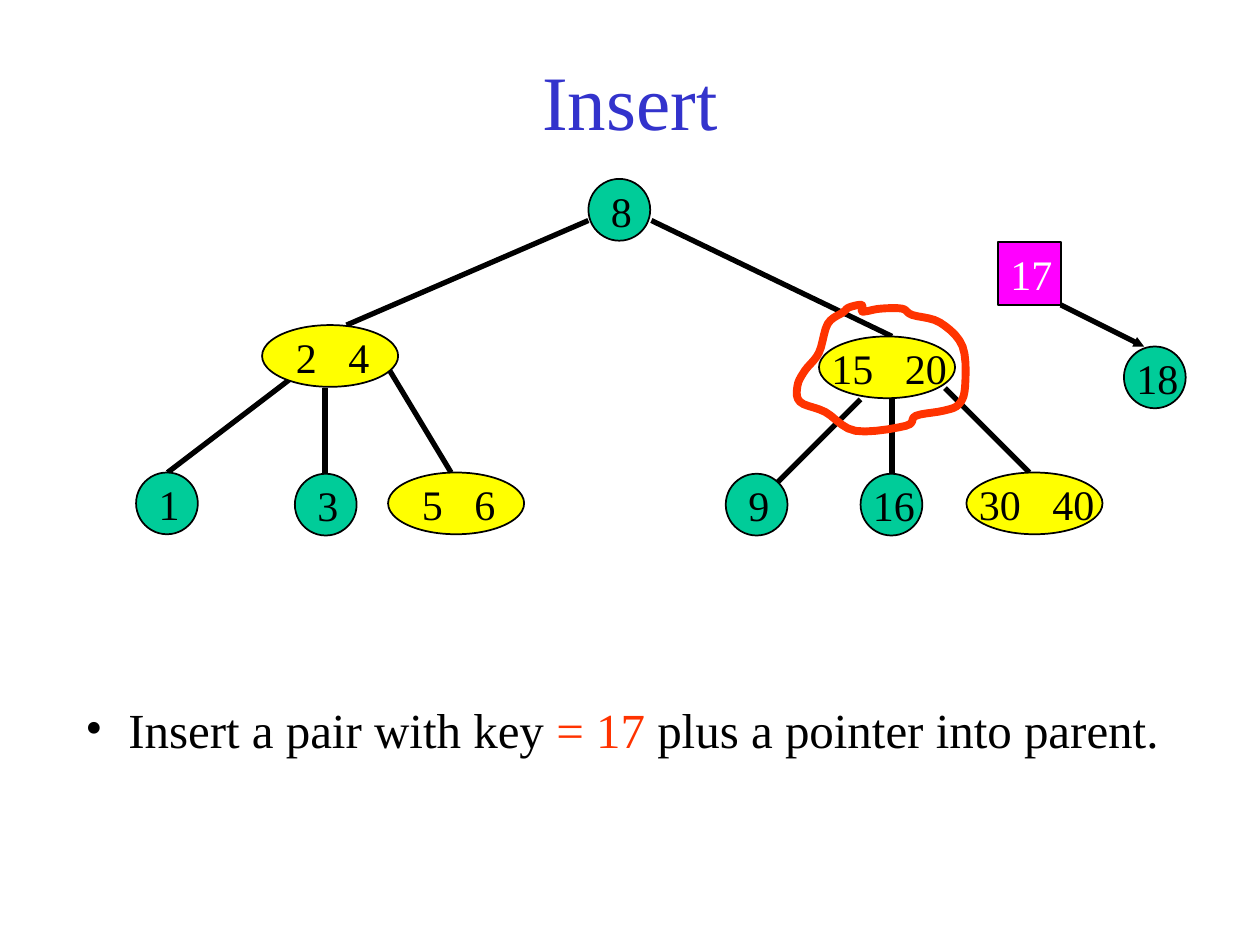
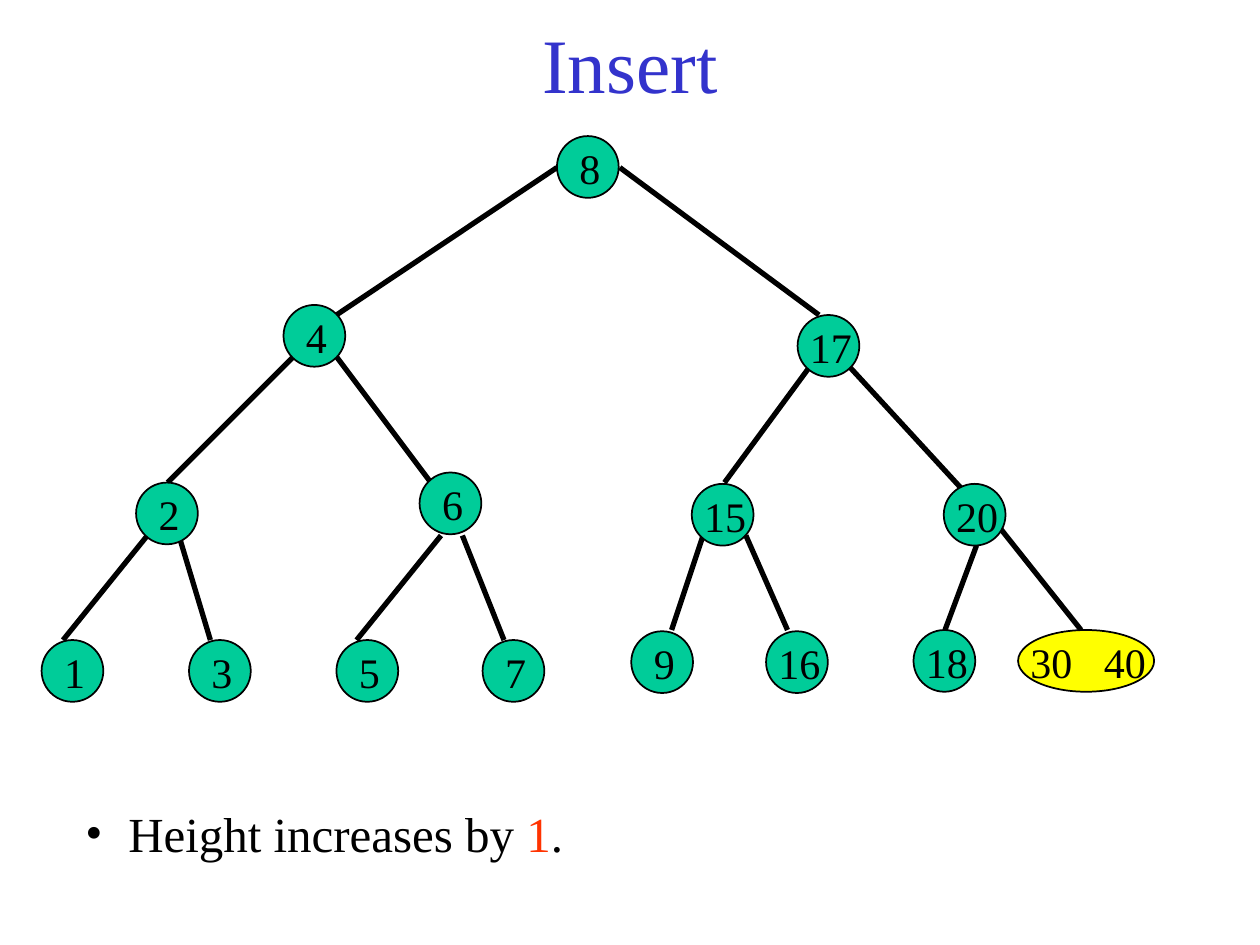
"""Build two slides on inserting a key into a 2-3 tree."""
from lxml import etree
from pptx import Presentation
from pptx.dml.color import RGBColor
from pptx.enum.shapes import MSO_CONNECTOR, MSO_SHAPE
from pptx.enum.text import MSO_ANCHOR, MSO_AUTO_SIZE, PP_ALIGN
from pptx.oxml.ns import qn
from pptx.util import Inches, Pt

LINE = MSO_CONNECTOR.STRAIGHT
OVAL, RECT = MSO_SHAPE.OVAL, MSO_SHAPE.RECTANGLE
MID, TOP = MSO_ANCHOR.MIDDLE, MSO_ANCHOR.TOP
MIDDLE = PP_ALIGN.CENTER
GROW = MSO_AUTO_SIZE.SHAPE_TO_FIT_TEXT

FACE = "Times New Roman"
BLACK, WHITE, BLUE, RED = "000000", "FFFFFF", "3333CC", "FF3300"
GREEN, YELLOW, PINK = "00CC99", "FFFF00", "FF00FF"
SIDE, WIDE = 0.49, 1.08

SLIDES = [
    {
        "title": ("Insert", 0.17, 1.25),
        "note": (5.5, [("Insert a pair with key ", BLACK), ("= 17 ", RED),
                       ("plus a pointer into parent.", BLACK)]),
        "nodes": [
            ("8", 4.67, 1.42), ("2 4", 2.08, 2.58), ("15 20", 6.5, 2.67),
            ("1", 1.08, 3.75), ("3", 2.34, 3.76), ("5 6", 3.08, 3.75),
            ("9", 5.76, 3.76), ("16", 6.83, 3.76), ("30 40", 7.67, 3.75),
            ("18", 8.92, 2.75),
        ],
        "edges": [
            (4.67, 1.75, 2.75, 2.58), (5.17, 1.75, 7.08, 2.67),
            (2.42, 2.92, 1.33, 3.75), (2.58, 3.08, 2.58, 3.75),
            (3.08, 2.92, 3.58, 3.75), (6.83, 3.17, 6.17, 3.83),
            (7.08, 3.17, 7.08, 3.83), (7.5, 3.08, 8.17, 3.75),
        ],
        "key": ("17", 7.92, 1.92, 0.5),
        "arrow": (8.42, 2.42, 9.08, 2.75),
        "ring": [
            (6.84, 2.42), (6.74, 2.44), (6.69, 2.48), (6.57, 2.57),
            (6.5, 2.8), (6.39, 2.94), (6.33, 3.06), (6.35, 3.19),
            (6.55, 3.27), (6.79, 3.42), (7.19, 3.38), (7.27, 3.3),
            (7.49, 3.26), (7.61, 3.21), (7.66, 3.07), (7.64, 2.75),
            (7.46, 2.56), (7.24, 2.5), (7.16, 2.45), (6.99, 2.45),
            (6.88, 2.47), (6.84, 2.47),
        ],
    },
    {
        "title": ("Insert", 0, 1),
        "note": (6.33, [("Height increases by ", BLACK), ("1", RED),
                        (".", BLACK)]),
        "nodes": [
            ("8", 4.42, 1.08), ("4", 2.25, 2.42), ("17", 6.33, 2.5),
            ("2", 1.08, 3.83), ("6", 3.33, 3.75), ("15", 5.49, 3.84),
            ("20", 7.49, 3.84), ("1", 0.33, 5.08), ("3", 1.5, 5.08),
            ("5", 2.67, 5.08), ("7", 3.83, 5.08), ("9", 5.01, 5.01),
            ("16", 6.08, 5.01), ("18", 7.25, 5), ("30 40", 8.08, 5),
        ],
        "edges": [
            (4.42, 1.33, 2.67, 2.5), (4.92, 1.33, 6.5, 2.5),
            (2.33, 2.83, 1.33, 3.83), (2.67, 2.83, 3.42, 3.83),
            (6.42, 2.92, 5.75, 3.83), (6.75, 2.92, 7.67, 3.92),
            (1.17, 4.25, 0.5, 5.08), (1.42, 4.25, 1.67, 5.08),
            (3.5, 4.25, 2.83, 5.08), (3.67, 4.25, 4, 5.08),
            (5.58, 4.25, 5.33, 5), (5.92, 4.25, 6.25, 5),
            (7.75, 4.33, 7.5, 5), (7.92, 4.17, 8.58, 5),
        ],
    },
]


def rgb(code):
    """Turn a hex string into a colour."""
    return RGBColor.from_string(code)


def put(item, **vals):
    """Set each named value on an item."""
    for name, val in vals.items():
        setattr(item, name, val)


def write(para, text, size, code):
    """Add a run of styled text."""
    run = para.add_run()
    run.text = text
    put(run.font, size=Pt(size), name=FACE)
    run.font.color.rgb = rgb(code)


def ink(shape, code, width):
    """Colour an outline and set its width."""
    shape.line.color.rgb = rgb(code)
    shape.line.width = Pt(width)


def add_box(slide, left, top, width, height, gap):
    """Add a text box and return its paragraph."""
    box = slide.shapes.add_textbox(*map(Inches, (left, top, width, height)))
    put(box.text_frame, word_wrap=True, auto_size=GROW, vertical_anchor=TOP)
    para = box.text_frame.paragraphs[0]
    para.space_before = Pt(gap)
    return para


def add_title(slide, text, top, height):
    """Place and style the title."""
    title = slide.shapes.title
    put(title, left=Inches(0.75), top=Inches(top),
        width=Inches(8.5), height=Inches(height))
    title.text_frame.vertical_anchor = MID
    para = title.text_frame.paragraphs[0]
    para.alignment = MIDDLE
    write(para, text, 44, BLUE)


def add_note(slide, top, parts):
    """Add the bulleted line below the tree."""
    para = add_box(slide, 0.58, top, 8.83, 0.57, 17.5)
    props = para._p.get_or_add_pPr()
    props.set("marL", str(Inches(0.34)))
    props.set("indent", str(-Inches(0.34)))
    tint = etree.SubElement(props, qn("a:buClr"))
    etree.SubElement(tint, qn("a:srgbClr"), val=BLACK)
    etree.SubElement(props, qn("a:buFont"), typeface=FACE)
    etree.SubElement(props, qn("a:buChar"), char="•")
    for text, code in parts:
        write(para, text, 28, code)


def add_shape(slide, kind, left, top, width, height, code):
    """Add a filled shape with a thin black edge."""
    shape = slide.shapes.add_shape(
        kind, *map(Inches, (left, top, width, height)))
    shape.shadow.inherit = False
    shape.fill.solid()
    shape.fill.fore_color.rgb = rgb(code)
    ink(shape, BLACK, 1)


def add_label(slide, text, left, top, code=BLACK):
    """Write one key, or two keys set apart by a tab stop."""
    keys = text.split()
    pair, digits = len(keys) == 2, len(keys[0])
    shift = (0.17 if pair else 0.08) if digits == 1 else 0
    width = 0.42 * digits * (1.9 if pair else 1)
    para = add_box(slide, left + shift, top, width, 0.5, 15)
    if pair:
        tabs = etree.SubElement(para._p.get_or_add_pPr(), qn("a:tabLst"))
        stop = Inches(0.25 + digits / 6)
        etree.SubElement(tabs, qn("a:tab"), pos=str(stop), algn="l")
    write(para, "\t".join(keys), 24, code)


def add_node(slide, text, left, top):
    """Add a tree node, wide when it holds two keys."""
    width, code = (WIDE, YELLOW) if " " in text else (SIDE, GREEN)
    add_shape(slide, OVAL, left, top, width, SIDE, code)
    add_label(slide, text, left, top)


def add_edge(slide, ends, head=False):
    """Add a thick line, with an arrowhead on request."""
    edge = slide.shapes.add_connector(LINE, *map(Inches, ends))
    ink(edge, BLACK, 3)
    if head:
        etree.SubElement(edge.line._get_or_add_ln(), qn("a:tailEnd"),
                         type="triangle", w="sm", len="sm")
    etree.SubElement(edge._element.spPr, qn("a:effectLst"))


def blend(a, b, c, d, t):
    """Find a point on the smooth curve from b to c."""
    return tuple(
        q + t / 2 * (r - p + t * (2 * p - 5 * q + 4 * r - s
                                  + t * (3 * (q - r) + s - p)))
        for p, q, r, s in zip(a, b, c, d))


def add_ring(slide, knots, steps=5):
    """Draw a smooth closed outline through the knots."""
    count = len(knots)
    dots = [
        tuple(map(Inches, blend(*(knots[(i + j) % count]
                                  for j in (-1, 0, 1, 2)), k / steps)))
        for i in range(count) for k in range(steps)]
    pen = slide.shapes.build_freeform(*dots[0])
    pen.add_line_segments(dots[1:], close=True)
    ring = pen.convert_to_shape()
    ring.shadow.inherit = False
    ring.fill.background()
    ink(ring, RED, 4.5)


def main():
    """Build and save the slides, with edges behind the nodes."""
    deck = Presentation()
    put(deck, slide_width=Inches(10), slide_height=Inches(7.5))
    for page in SLIDES:
        slide = deck.slides.add_slide(deck.slide_layouts[5])
        add_title(slide, *page["title"])
        add_note(slide, *page["note"])
        for ends in page["edges"]:
            add_edge(slide, ends)
        for node in page["nodes"]:
            add_node(slide, *node)
        if "key" in page:
            text, left, top, side = page["key"]
            add_shape(slide, RECT, left, top, side, side, PINK)
            add_label(slide, text, left, top, WHITE)
            add_edge(slide, page["arrow"], head=True)
            add_ring(slide, page["ring"])
    deck.save("out.pptx")


if __name__ == "__main__":
    main()
